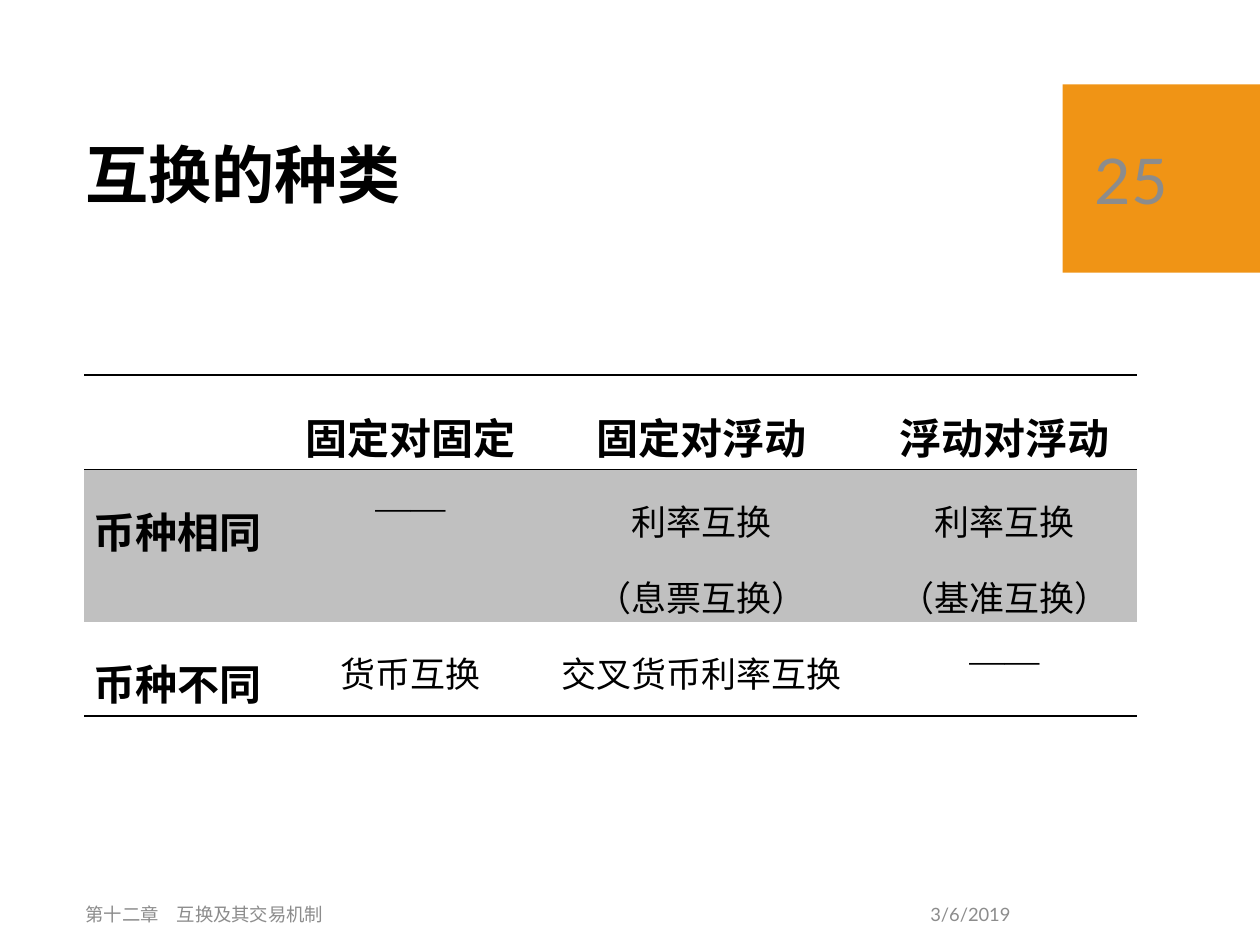
from lxml import etree
from pptx import Presentation
from pptx.dml.color import RGBColor
from pptx.enum.shapes import MSO_SHAPE
from pptx.enum.text import MSO_ANCHOR, PP_ALIGN
from pptx.oxml.ns import qn
from pptx.util import Cm, Pt

RECT = MSO_SHAPE.RECTANGLE
MIDDLE = MSO_ANCHOR.MIDDLE
LEFT, CENTER, RIGHT = PP_ALIGN.LEFT, PP_ALIGN.CENTER, PP_ALIGN.RIGHT
JUSTIFY = PP_ALIGN.JUSTIFY


def color(code):
    return RGBColor.from_string(code)


def edge(cell, side, width):
    """Draw a black cell border, or none when width is 0."""
    line = etree.SubElement(cell._tc.get_or_add_tcPr(), qn("a:ln" + side))
    line.set("w", str(Pt(width)))
    if width:
        fill = etree.SubElement(line, qn("a:solidFill"))
        etree.SubElement(fill, qn("a:srgbClr")).set("val", "000000")
    else:
        etree.SubElement(line, qn("a:noFill"))


prs = Presentation()
prs.slide_width, prs.slide_height = Cm(25.4), Cm(19.05)
slide = prs.slides.add_slide(prs.slide_layouts[6])

block = slide.shapes.add_shape(RECT, Cm(21.42), Cm(1.7), Cm(3.98), Cm(3.8))
block.shadow.inherit = False
block.fill.solid()
block.fill.fore_color.rgb = color("F09415")
block.line.fill.background()

# Title, date, footer and page number
labels = [
    ("互换的种类", 1.48, 2.1, 19.15, 3, 36, "000000", True, LEFT),
    ("3/6/2019", 14.9, 17.92, 5.72, 1.02, 10.5, "8C8C8C", False, RIGHT),
    ("第十二章　互换及其交易机制", 1.48, 17.92, 13.44, 1.02, 10.5, "8C8C8C", False, LEFT),
    ("25", 21.82, 2.1, 3.23, 3.02, 36, "8C8C8C", False, LEFT),
]
for text, x, y, w, h, size, shade, bold, align in labels:
    frame = slide.shapes.add_textbox(Cm(x), Cm(y), Cm(w), Cm(h)).text_frame
    frame.word_wrap = True
    frame.vertical_anchor = MIDDLE
    frame.text = text
    para = frame.paragraphs[0]
    para.alignment = align
    if bold:
        para.line_spacing = 0.9
    font = para.runs[0].font
    font.name, font.size, font.bold = "Lato", Pt(size), bold
    font.color.rgb = color(shade)

# Table of swap types
rows = [
    ["", "固定对固定", "固定对浮动", "浮动对浮动"],
    ["币种相同", "——", "利率互换\n（息票互换）", "利率互换\n（基准互换）"],
    ["币种不同", "货币互换", "交叉货币利率互换", "——"],
]
fills = ["FFFFFF", "C0C0C0", "FFFFFF"]
rules = [(1, 1), (1, 0), (0, 1)]  # top and bottom border of each row
widths = [4.15, 4.85, 6.88, 5.34]
heights = [1.9, 3.07, 1.9]

table = slide.shapes.add_table(
    len(rows), len(widths), Cm(1.7), Cm(7.56), Cm(sum(widths)), Cm(sum(heights))
).table
for col, width in zip(table.columns, widths):
    col.width = Cm(width)
for r, texts in enumerate(rows):
    table.rows[r].height = Cm(heights[r])
    for c, text in enumerate(texts):
        cell = table.cell(r, c)
        cell.margin_left = cell.margin_right = Cm(0.18)
        cell.margin_top = cell.margin_bottom = 0
        top, bottom = rules[r]
        for side, width in zip("LRTB", (0, 0, top, bottom)):
            edge(cell, side, width)
        cell.fill.solid()
        cell.fill.fore_color.rgb = color(fills[r])
        cell.text_frame.text = text
        head = r == 0 or c == 0
        for para in cell.text_frame.paragraphs:
            para.alignment = CENTER if c else JUSTIFY
            para.line_spacing = 1.5
            for run in para.runs:
                font = run.font
                font.name, font.bold = "Times New Roman", head
                font.size = Pt(24 if head else 20)
                font.color.rgb = color("000000")

prs.save("out.pptx")
